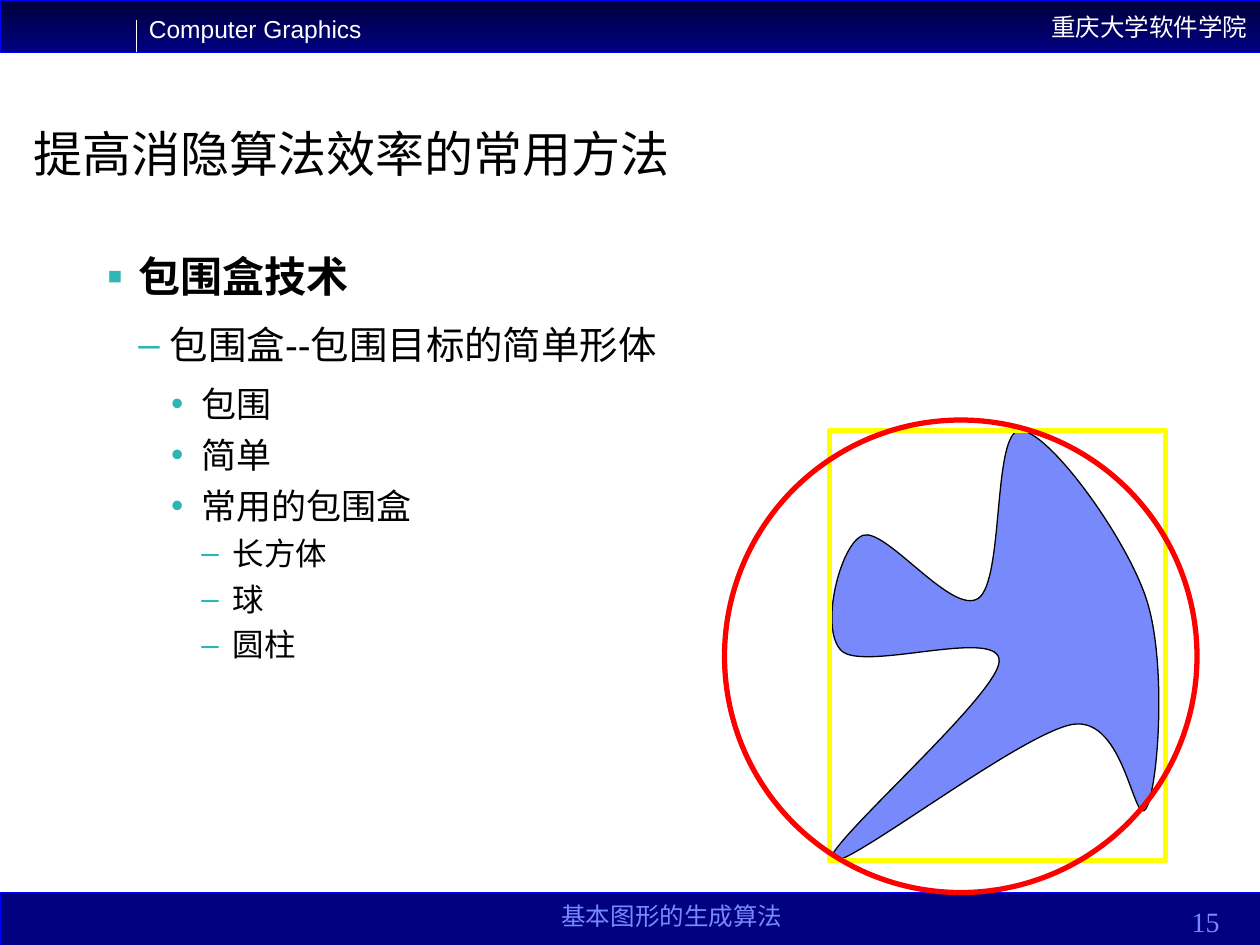
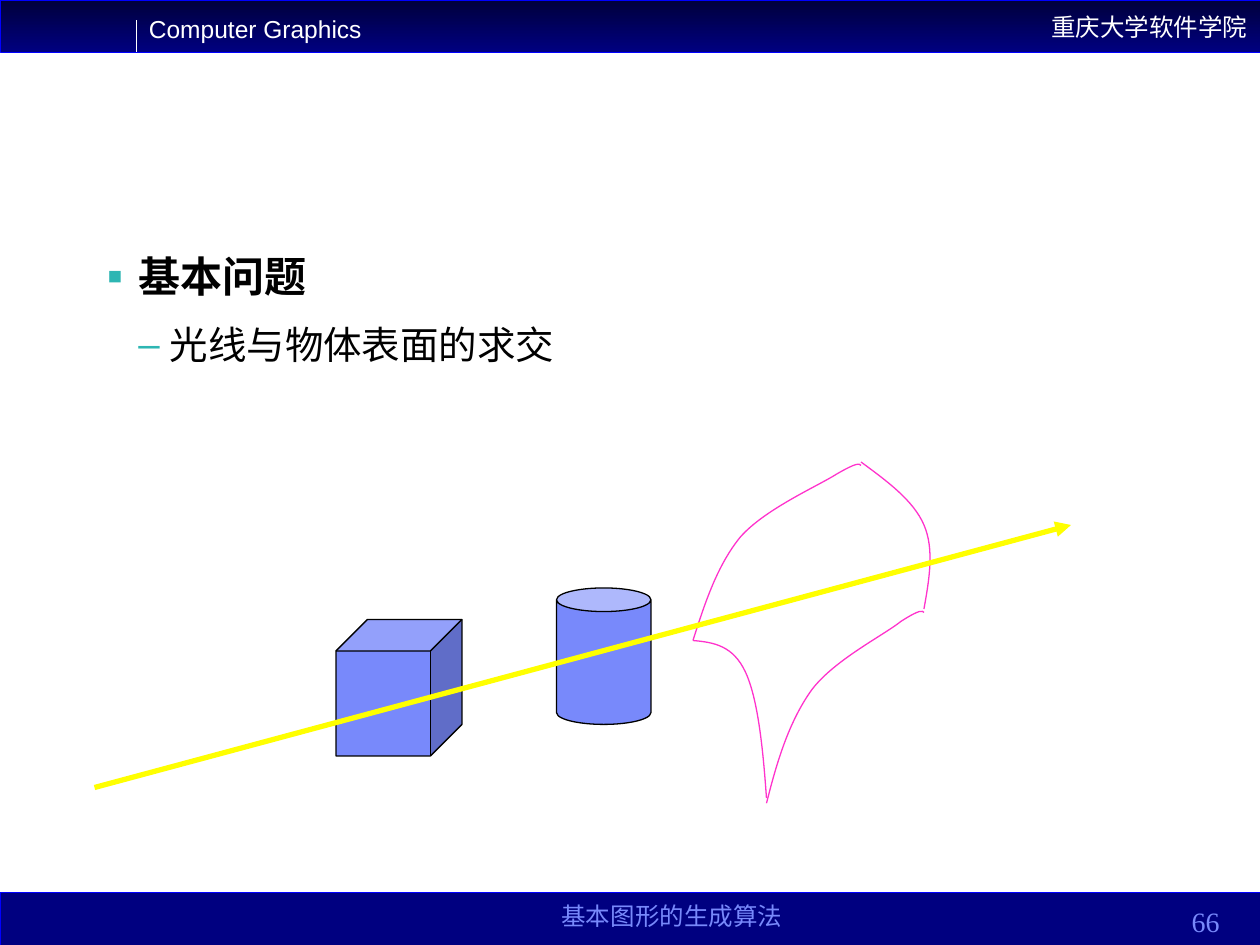
from dataclasses import dataclass

from lxml import etree
from pptx import Presentation, util as u
from pptx.dml.color import RGBColor
from pptx.enum import shapes, text
from pptx.oxml.ns import qn


@dataclass(frozen=True)
class Theme:
    black: str = "000000"
    white: str = "FFFFFF"
    navy: str = "000080"
    night: str = "00003B"
    band_edge: str = "0000FF"
    teal: str = "2DB6B3"
    periwinkle: str = "7889FB"
    yellow: str = "FFFF00"
    red: str = "FF0000"
    pink: str = "FF33CC"
    sans: str = "Arial"
    serif: str = "Times New Roman"
    title_size: float = 28
    band_size: float = 14
    number_size: float = 16
    hairline: float = 0.25
    thin: float = 0.75
    thick: float = 3


@dataclass(frozen=True)
class Level:
    size: float
    bullet: str
    before: float
    after: float = 0
    bold: bool = False
    hanging: float = 18
    bullet_scale: int = 100


THEME = Theme()
LEVELS = [
    Level(24, "▪", 10.5, 4.5, bold=True, bullet_scale=110),
    Level(22, "–", 6.9, 4.1),
    Level(20, "•", 5, hanging=17.28),
    Level(18, "–", 4.5),
]
WIDTH, HEIGHT, BAND = 720, 540, 30
INDENT = 18
PRESET, ALIGN, ANCHOR = shapes.MSO_SHAPE, text.PP_ALIGN, text.MSO_ANCHOR

# Curves: a start point, then three points for each Bezier segment
BIRD = [
    (67, 132), (54, 120), (66, 71), (79, 66), (92, 61), (130, 112), (145, 102),
    (160, 92), (153, 6), (169, 6), (185, 6), (229, 66), (241, 102),
    (253, 138), (248, 210), (241, 222), (234, 234), (229, 169), (199, 174),
    (169, 179), (68, 258), (61, 252), (54, 246), (156, 158), (157, 138),
    (158, 118), (80, 144), (67, 132),
]
PATCH_EDGES = [
    [(0, 102), (7, 80), (14, 59), (27, 43), (41, 27), (71, 14), (82, 7),
     (94, 0), (95, 1), (96, 2)],
    [(42, 195), (48, 171), (55, 148), (68, 130), (81, 113), (109, 99), (119, 91),
     (130, 84), (131, 85), (132, 86)],
    [(0, 102), (12, 103), (23, 105), (30, 120), (37, 135), (40, 163), (42, 192)],
    [(96, 0), (111, 11), (126, 22), (132, 36), (138, 50), (135, 67), (132, 84)],
]


def rgb(color):
    return RGBColor.from_string(color)


def points(*values):
    return [u.Pt(value) for value in values]


def paint(shape, fill, line, width):
    """Give a shape its fill (or none) and outline, without shadow."""
    shape.shadow.inherit = False
    if fill:
        shape.fill.solid()
        shape.fill.fore_color.rgb = rgb(fill)
    else:
        shape.fill.background()
    shape.line.color.rgb = rgb(line)
    shape.line.width = u.Pt(width)
    return shape


def add_preset(page, preset, box, fill, line, width):
    return paint(page.shapes.add_shape(preset, *points(*box)), fill, line, width)


def add_line(page, start, end, color, width):
    line = page.shapes.add_connector(shapes.MSO_CONNECTOR.STRAIGHT, *points(*start, *end))
    line.line.color.rgb = rgb(color)
    line.line.width = u.Pt(width)
    etree.SubElement(line._element.spPr, qn("a:effectLst"))
    return line


def add_curve(parent, origin, outline, fill, line, closed=False):
    """Draw a freeform whose points are read as cubic Bezier segments."""
    left, top = origin
    placed = [points(left + x, top + y) for x, y in outline]
    builder = parent.build_freeform(*placed[0])
    builder.add_line_segments(placed[1:], close=closed)
    shape = builder.convert_to_shape()
    route = shape._element.spPr.find(".//" + qn("a:path"))
    steps = route.findall(qn("a:lnTo"))
    for first in range(0, len(steps), 3):
        segment = etree.Element(qn("a:cubicBezTo"))
        steps[first].addprevious(segment)
        for step in steps[first:first + 3]:
            segment.append(step[0])
            route.remove(step)
    return paint(shape, fill, line, THEME.thin)


def style(para, font, size, color, bold=False):
    for span in para.runs:
        span.font.name = font
        span.font.size = u.Pt(size)
        span.font.bold = bold
        span.font.color.rgb = rgb(color)


def write(shape, words, font, size, color, align=ALIGN.LEFT, anchor=ANCHOR.TOP, wrap=True):
    frame = shape.text_frame
    frame.text = words
    frame.word_wrap = wrap
    frame.vertical_anchor = anchor
    para = frame.paragraphs[0]
    para.alignment = align
    style(para, font, size, color)
    return para


def add_text(page, box, *words_and_style, **layout):
    return write(page.shapes.add_textbox(*points(*box)), *words_and_style, **layout)


def add_header(page, box):
    left, top, width, height = box
    band = add_preset(page, PRESET.RECTANGLE, box, THEME.navy, THEME.band_edge, THEME.hairline)
    band.fill.gradient()
    band.fill.gradient_angle = 270
    for stop, color in zip(band.fill.gradient_stops, (THEME.night, THEME.navy)):
        stop.color.rgb = rgb(color)
    write(band, "重庆大学软件学院", THEME.sans, THEME.band_size, THEME.white,
          align=ALIGN.RIGHT, anchor=ANCHOR.MIDDLE, wrap=False)
    rule = left + 78
    add_text(page, (rule, top + 4.5, 136, 24.5), "Computer Graphics",
             THEME.sans, THEME.band_size, THEME.white, wrap=False)
    add_line(page, (rule, top + 11.5), (rule, top + height), THEME.white, THEME.thin)


def add_footer(page, box, number):
    left, top, width, height = box
    add_preset(page, PRESET.RECTANGLE, box, THEME.navy, THEME.band_edge, THEME.hairline)
    add_text(page, (left + 270, top - 2, 228, 27), "基本图形的生成算法", THEME.serif,
             THEME.band_size, THEME.periwinkle, align=ALIGN.CENTER, anchor=ANCHOR.BOTTOM)
    add_text(page, (left + width - 88, top + 2.5, 72, 27), number, THEME.serif,
             THEME.number_size, THEME.periwinkle, align=ALIGN.RIGHT, anchor=ANCHOR.BOTTOM)


def add_title(page, box, words):
    para = add_text(page, box, words, THEME.sans, THEME.title_size, THEME.black,
                    anchor=ANCHOR.BOTTOM)
    para.line_spacing = 0.9


def add_bullet(para, depth):
    level = LEVELS[depth]
    properties = para._p.get_or_add_pPr()
    properties.set("marL", str(u.Pt(INDENT * (depth + 1))))
    properties.set("indent", str(-u.Pt(level.hanging)))
    color = etree.SubElement(properties, qn("a:buClr"))
    etree.SubElement(color, qn("a:srgbClr"), val=THEME.teal)
    etree.SubElement(properties, qn("a:buSzPct"), val=str(level.bullet_scale * 1000))
    etree.SubElement(properties, qn("a:buFont"), typeface=THEME.sans)
    etree.SubElement(properties, qn("a:buChar"), char=level.bullet)


def add_outline(page, box, items):
    """Write (depth, words) items as a bulleted outline."""
    frame = page.shapes.add_textbox(*points(*box)).text_frame
    frame.word_wrap = True
    for index, (depth, words) in enumerate(items):
        para = frame.add_paragraph() if index else frame.paragraphs[0]
        level = LEVELS[depth]
        para.text = words
        para.level = depth
        add_bullet(para, depth)
        para.space_before = u.Pt(level.before if index else 0)
        para.space_after = u.Pt(level.after)
        style(para, THEME.sans, level.size, THEME.black, level.bold)


def add_bounding_scene(page, box):
    """An irregular body inside its bounding rectangle and circle."""
    left, top, width, height = box
    add_curve(page.shapes, (left, top), BIRD, THEME.periwinkle, THEME.black, closed=True)
    add_preset(page, PRESET.RECTANGLE, (left + 60, top + 6, 192, 246),
               None, THEME.yellow, THEME.thick)
    add_preset(page, PRESET.OVAL, box, None, THEME.red, THEME.thick)


def add_ray_scene(page, box):
    """A ray passing through a cube, a cylinder and a curved patch."""
    left, top, width, height = box
    for preset, body in ((PRESET.CUBE, (left + 138, top + 90, 72, 78)),
                         (PRESET.CAN, (left + 264, top + 72, 54, 78))):
        add_preset(page, preset, body, THEME.periwinkle, THEME.black, THEME.thin)
    patch = page.shapes.add_group_shape()
    for edge in PATCH_EDGES:
        add_curve(patch.shapes, (left + 342, top), edge, None, THEME.pink)
    ray = add_line(page, (left, top + 186), (left + width, top + 36),
                   THEME.yellow, THEME.thick)
    etree.SubElement(ray.line._get_or_add_ln(), qn("a:tailEnd"), type="triangle")


def add_page(deck, number, items, add_scene, scene_box, title=None):
    page = deck.slides.add_slide(deck.slide_layouts[6])
    add_header(page, (0, 0, WIDTH, BAND))
    add_footer(page, (0, HEIGHT - BAND, WIDTH, BAND), number)
    if title:
        add_title(page, (12, 68.5, 650, 39.5), title)
    add_outline(page, (54, 139.5, 612, 307.5), items)
    add_scene(page, scene_box)


def main():
    deck = Presentation()
    deck.slide_width, deck.slide_height = points(WIDTH, HEIGHT)

    # Bounding volumes
    add_page(deck, "15", [
        (0, "包围盒技术"),
        (1, "包围盒--包围目标的简单形体"),
        (2, "包围"),
        (2, "简单"),
        (2, "常用的包围盒"),
        (3, "长方体"),
        (3, "球"),
        (3, "圆柱"),
    ], add_bounding_scene, (414, 240, 270, 270), title="提高消隐算法效率的常用方法")

    # Ray and surface intersection
    add_page(deck, "66", [
        (0, "基本问题"),
        (1, "光线与物体表面的求交"),
    ], add_ray_scene, (54, 264, 558, 195))

    deck.save("out.pptx")


if __name__ == "__main__":
    main()
